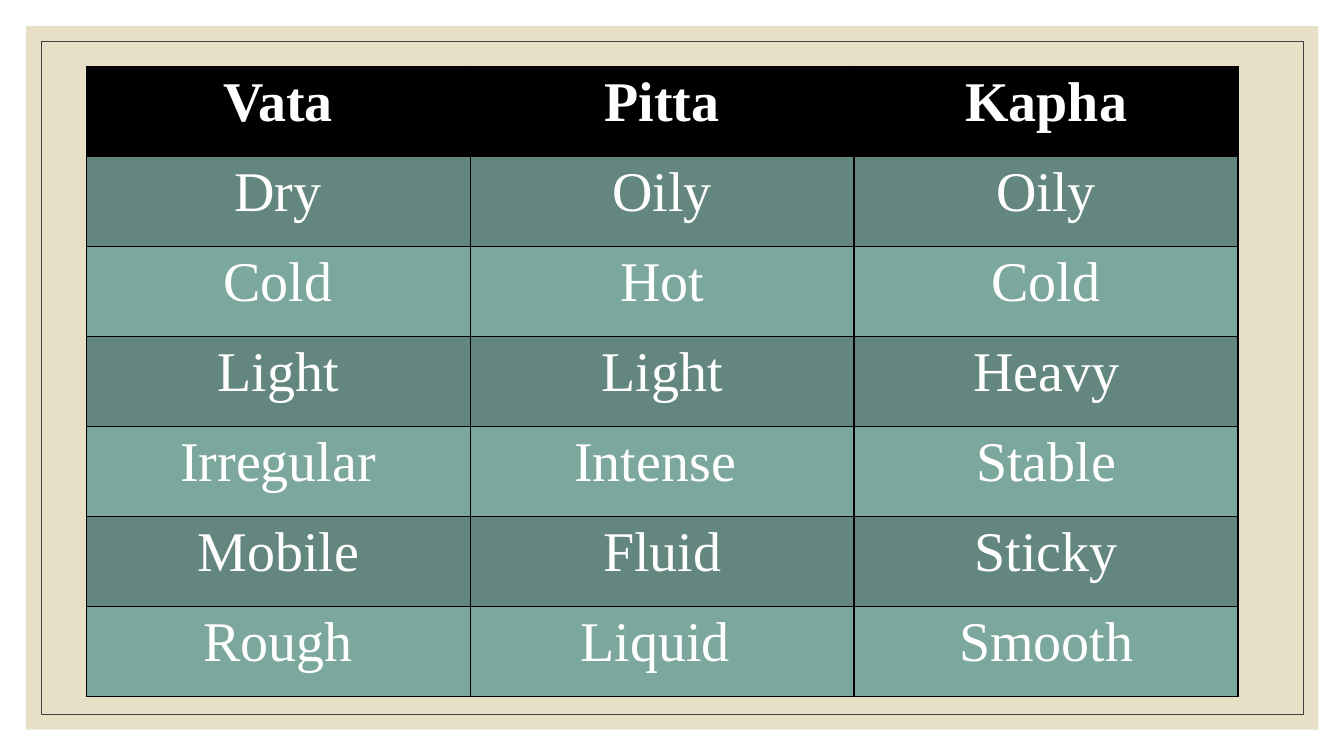
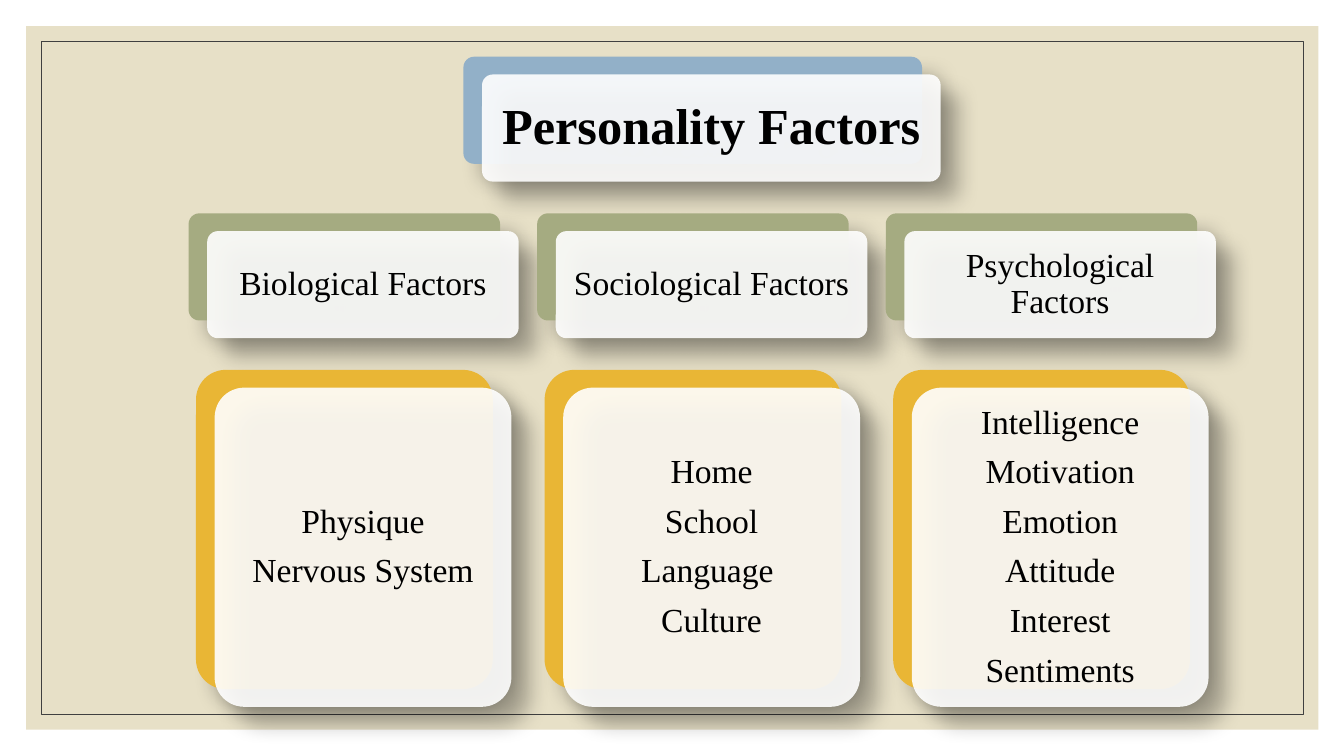
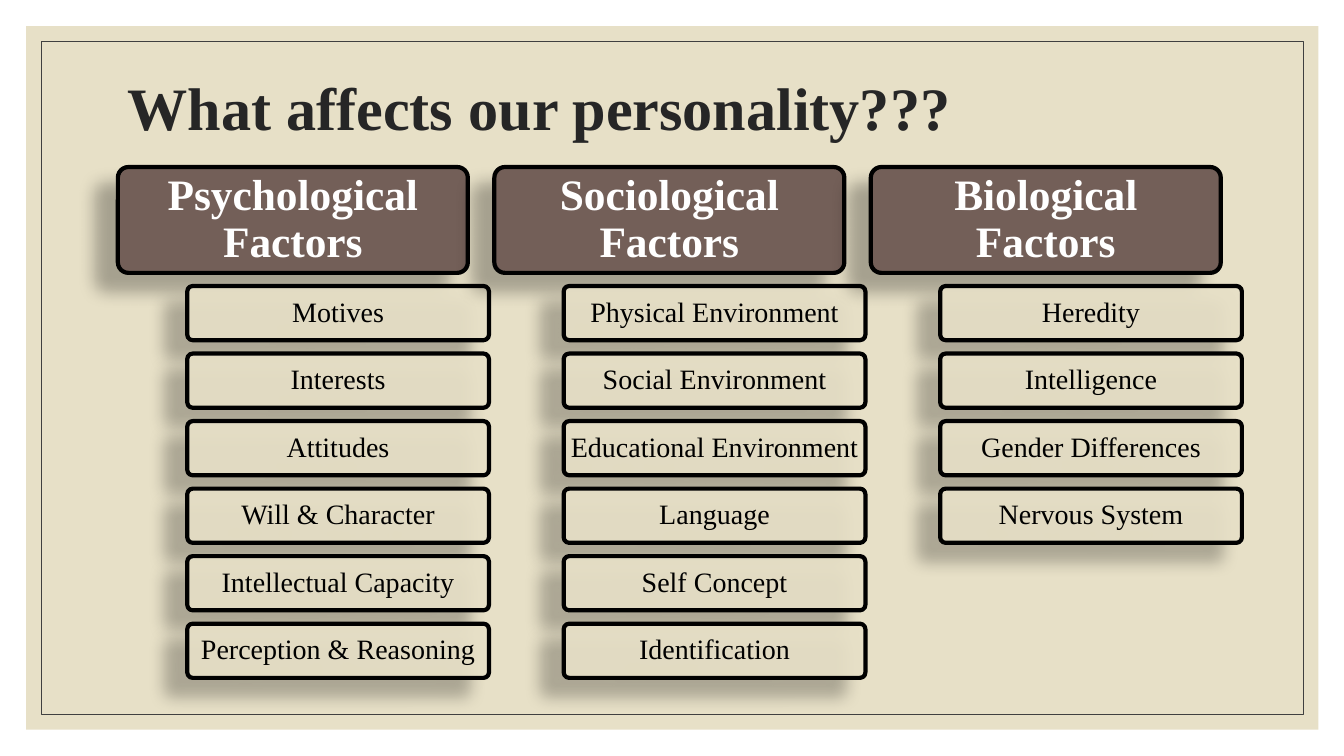
"""Build three slides on body types and the factors of personality."""
from dataclasses import dataclass
from typing import Any, Optional

from lxml import etree
from pptx import Presentation
from pptx.dml.color import RGBColor
from pptx.enum.shapes import MSO_SHAPE
from pptx.enum.text import MSO_ANCHOR, PP_ALIGN
from pptx.oxml.ns import qn
from pptx.util import Pt

RECT, ROUND = MSO_SHAPE.RECTANGLE, MSO_SHAPE.ROUNDED_RECTANGLE
MIDDLE, LEFT, CENTER = MSO_ANCHOR.MIDDLE, PP_ALIGN.LEFT, PP_ALIGN.CENTER
FONT = "Times New Roman"
HEX = {
    "white": "FFFFFF", "black": "000000", "sand": "E7E0C7", "frame": "404040",
    "title": "262626", "dark": "63867E", "light": "7BA79D", "blue": "92B0C8",
    "green": "A5AB81", "gold": "E9B635", "brown": "735F58",
}


@dataclass(frozen=True)
class Box:
    """Place of a shape, in points."""
    x: float
    y: float
    w: float
    h: float

    def move(self, dx: float, dy: float) -> "Box":
        """Return the box shifted by dx and dy."""
        return Box(self.x + dx, self.y + dy, self.w, self.h)

    def spots(self) -> list:
        """Return left, top, width and height as lengths."""
        return [Pt(v) for v in (self.x, self.y, self.w, self.h)]


@dataclass(frozen=True)
class Shade:
    """Drop shadow: opacity in percent, lengths in points, angle in degrees."""
    alpha: float
    blur: float
    dist: float
    angle: float


@dataclass(frozen=True)
class Type:
    """Look of a block of text."""
    size: float
    color: str = "black"
    bold: bool = False
    align: Any = CENTER
    pad: tuple = (7.2, 3.6)
    after: float = 0


@dataclass(frozen=True)
class Look:
    """Fill, outline and shadow of a shape."""
    fill: Optional[str] = None
    alpha: int = 100
    line: Optional[str] = None
    width: float = 0
    shade: Optional[Shade] = None


@dataclass(frozen=True)
class Group:
    """A heading with its items."""
    head: str
    items: tuple


SOFT = Shade(30, 15, 18, 45)
DEEP = Shade(28, 11.8, 19.7, 141)
PAPER = Look("sand")
FRAME = Look(line="frame", width=0.5)
GLASS = Look("white", 90, shade=SOFT)
PLAQUE = Look("brown", line="black", width=3, shade=DEEP)
PILL = Look("sand", 90, "black", 3, DEEP)

TITLE = Type(43, "title", True, LEFT)
ROOT = Type(36, bold=True, pad=(10.8, 10.8))
LEAF = Type(24, pad=(7.2, 7.2), after=9.5)
HEAD = Type(31, "white", True, pad=(4.3, 2.9))
ITEM = Type(20, pad=(2.9, 2.2))

TRAITS = (
    ("Vata", "Pitta", "Kapha"),
    ("Dry", "Oily", "Oily"),
    ("Cold", "Hot", "Cold"),
    ("Light", "Light", "Heavy"),
    ("Irregular", "Intense ", "Stable"),
    ("Mobile", "Fluid", "Sticky"),
    ("Rough", "Liquid ", "Smooth"),
)
TREE = (
    Group("Biological Factors", ("Physique", "Nervous System")),
    Group("Sociological Factors", ("Home", "School", "Language ", "Culture")),
    Group("Psychological Factors", ("Intelligence", "Motivation", "Emotion",
                                    "Attitude", "Interest", "Sentiments")),
)
LISTS = (
    Group("Psychological Factors", ("Motives", "Interests", "Attitudes", "Will & Character",
                                    "Intellectual Capacity", "Perception & Reasoning")),
    Group("Sociological Factors", ("Physical Environment", "Social Environment",
                                   "Educational Environment", "Language",
                                   "Self Concept", "Identification")),
    Group("Biological Factors", ("Heredity", "Intelligence", "Gender Differences",
                                 "Nervous System")),
)


def rgb(name: str) -> RGBColor:
    """Return a named colour."""
    return RGBColor.from_string(HEX[name])


def apply(thing: Any, form: dict) -> None:
    """Set each attribute in form on thing."""
    for key, value in form.items():
        setattr(thing, key, value)


def node(root: Any, tag: str, **attrs: Any) -> Any:
    """Add an XML child with the given attributes."""
    return etree.SubElement(root, qn(tag), {k: str(v) for k, v in attrs.items()})


def write(frame: Any, lines: tuple, kind: Type, space: float = 0.9) -> None:
    """Fill a text frame with one paragraph per line."""
    for num, line in enumerate(lines):
        para = frame.paragraphs[0] if num == 0 else frame.add_paragraph()
        apply(para, {"alignment": kind.align, "line_spacing": space,
                     "space_after": Pt(kind.after)})
        run = para.add_run()
        run.text = line
        apply(run.font, {"name": FONT, "size": Pt(kind.size), "bold": kind.bold})
        run.font.color.rgb = rgb(kind.color)


def fit(frame: Any, kind: Type) -> None:
    """Set wrap, anchor and margins of a text frame."""
    side, edge = (Pt(v) for v in kind.pad)
    apply(frame, {"word_wrap": True, "vertical_anchor": MIDDLE, "margin_left": side,
                  "margin_right": side, "margin_top": edge, "margin_bottom": edge})


def cast(props: Any, shade: Shade) -> None:
    """Put a drop shadow into the effect list."""
    drop = node(props.find(qn("a:effectLst")), "a:outerShdw", blurRad=Pt(shade.blur),
                dist=Pt(shade.dist), dir=round(shade.angle * 60000),
                algn="ctr", rotWithShape=0)
    tint = node(drop, "a:srgbClr", val=HEX["black"])
    node(tint, "a:alpha", val=shade.alpha * 1000)


def draw(slide: Any, box: Box, look: Look, form: Any = ROUND,
         lines: tuple = (), kind: Optional[Type] = None) -> None:
    """Draw a shape, with text if a type is given."""
    shape = slide.shapes.add_shape(form, *box.spots())
    props = shape.element.spPr
    if form == ROUND:
        shape.adjustments[0] = 0.1
    if look.fill:
        shape.fill.solid()
        shape.fill.fore_color.rgb = rgb(look.fill)
        if look.alpha < 100:
            tint = props.find(qn("a:solidFill")).find(qn("a:srgbClr"))
            node(tint, "a:alpha", val=look.alpha * 1000)
    else:
        shape.fill.background()
    if look.line:
        shape.line.color.rgb = rgb(look.line)
        shape.line.width = Pt(look.width)
    else:
        shape.line.fill.background()
    shape.shadow.inherit = False
    if look.shade:
        cast(props, look.shade)
    if kind:
        fit(shape.text_frame, kind)
        write(shape.text_frame, lines, kind)


def start(deck: Any) -> Any:
    """Add a slide with the sand panel and its thin frame."""
    slide = deck.slides.add_slide(deck.slide_layouts[6])
    draw(slide, Box(18.7, 18.7, 923, 502.5), PAPER, RECT)
    draw(slide, Box(29.5, 29.5, 901.5, 481), FRAME, RECT)
    return slide


def edge(cell: Any) -> None:
    """Give a cell thin black borders."""
    props = cell._tc.get_or_add_tcPr()
    for tag in ("a:lnL", "a:lnR", "a:lnT", "a:lnB"):
        fill = node(node(props, tag, w=Pt(1)), "a:solidFill")
        node(fill, "a:srgbClr", val=HEX["black"])


def chart(slide: Any) -> None:
    """Draw the table of traits."""
    wide, high = 274.3, 64.29
    rows, cols = len(TRAITS), len(TRAITS[0])
    box = Box(61.5, 47.5, cols * wide, rows * high)
    table = slide.shapes.add_table(rows, cols, *box.spots()).table
    for col in table.columns:
        col.width = Pt(wide)
    for num, words in enumerate(TRAITS):
        table.rows[num].height = Pt(high)
        fill = "black" if num == 0 else ("light", "dark")[num % 2]
        for cell, word in zip(table.rows[num].cells, words):
            edge(cell)
            cell.fill.solid()
            cell.fill.fore_color.rgb = rgb(fill)
            write(cell.text_frame, (word,), Type(40, "white", num == 0), 1.0)


def card(slide: Any, box: Box, color: str, lines: tuple, kind: Type) -> None:
    """Draw a glass card over a coloured one."""
    draw(slide, box, Look(color, shade=SOFT))
    draw(slide, box.move(13.3, 12.7), GLASS, ROUND, lines, kind)


def tree(slide: Any) -> None:
    """Draw the tree of factors."""
    card(slide, Box(331, 40.5, 327.6, 76.5), "blue", ("Personality Factors",), ROOT)
    for num, group in enumerate(TREE):
        dx = num * 249
        card(slide, Box(134.7, 152.4, 222.5, 76.5).move(dx, 0), "green", (group.head,), LEAF)
        card(slide, Box(140, 264.2, 212, 228).move(dx, 0), "gold", group.items, LEAF)


def lists(slide: Any) -> None:
    """Draw the title and the three lists."""
    text = slide.shapes.add_textbox(*Box(84.2, 50.4, 792, 57.6).spots()).text_frame
    fit(text, TITLE)
    write(text, ("What affects our personality???",), TITLE)
    for num, group in enumerate(LISTS):
        dx = num * 268.9
        draw(slide, Box(84.2, 119.3, 250, 75.6).move(dx, 0), PLAQUE, ROUND, (group.head,), HEAD)
        for row, item in enumerate(group.items):
            place = Box(133.8, 204.3, 215.5, 38.7).move(dx, row * 48.24)
            draw(slide, place, PILL, ROUND, (item,), ITEM)


def main() -> None:
    """Build and save the deck."""
    deck = Presentation()
    apply(deck, {"slide_width": Pt(960), "slide_height": Pt(540)})
    for fill in (chart, tree, lists):
        fill(start(deck))
    deck.save("out.pptx")


if __name__ == "__main__":
    main()
